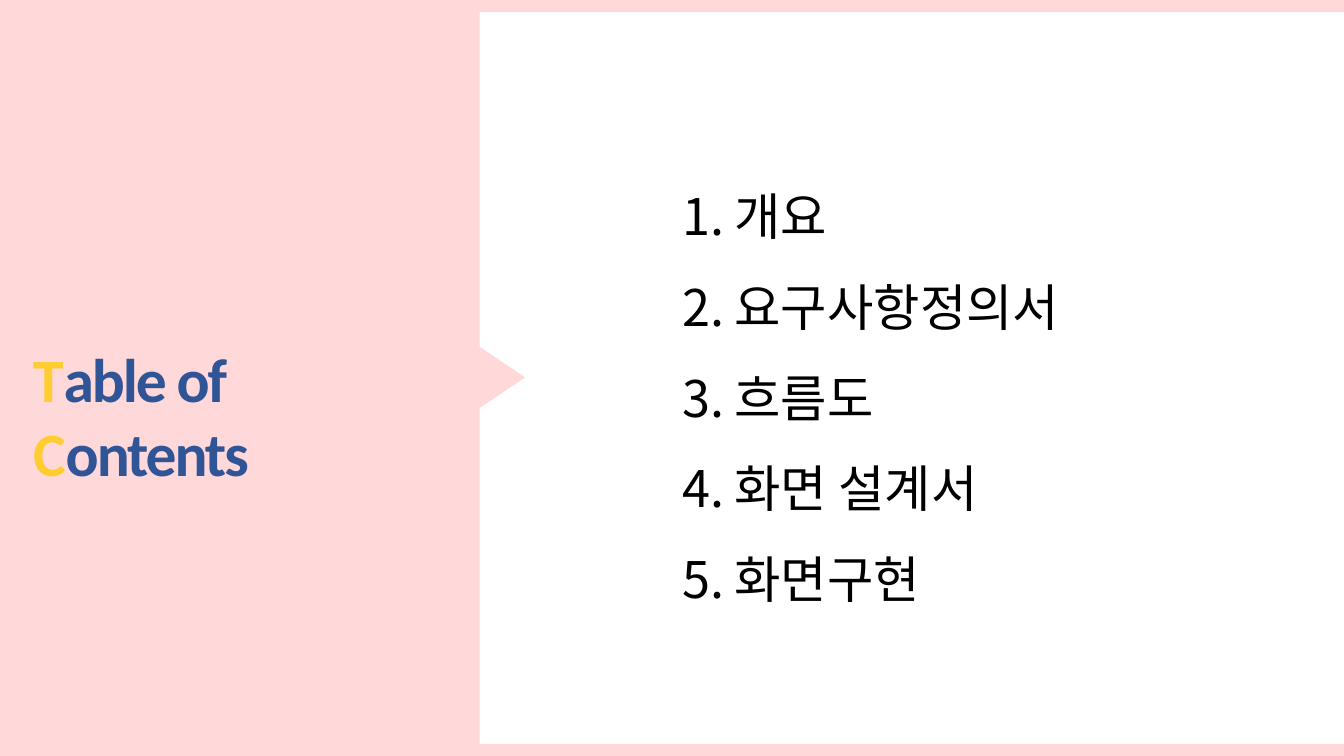
from lxml.etree import SubElement
from pptx import Presentation
from pptx.dml.color import RGBColor
from pptx.enum.shapes import MSO_SHAPE
from pptx.oxml.ns import qn
from pptx.util import Pt

HUES = {"pink": "FFD8D9", "gold": "FFCD2F", "navy": "2F5597", "ink": "000000"}
WIDE, HIGH = 960, 540
BAR = 8.64


class Deck:
    """Holds the style and the current slide."""

    def __init__(self):
        self.show = Presentation()
        self.show.slide_width, self.show.slide_height = Pt(WIDE), Pt(HIGH)
        self.slide = self.show.slides.add_slide(self.show.slide_layouts[6])
        self.head = {"name": "Calibri", "size": Pt(44), "bold": True}
        self.body = {"name": "Arial", "size": Pt(36)}

    def paint(self, font, style, hue):
        for key, val in style.items():
            setattr(font, key, val)
        font.color.rgb = RGBColor.from_string(HUES[hue])

    def block(self, kind, x, y, w, h, turn=0):
        shape = self.slide.shapes.add_shape(kind, Pt(x), Pt(y), Pt(w), Pt(h))
        shape.shadow.inherit = False
        shape.rotation = turn
        shape.fill.solid()
        shape.fill.fore_color.rgb = RGBColor.from_string(HUES["pink"])
        shape.line.fill.background()

    def frame(self, x, y, w, h):
        frame = self.slide.shapes.add_textbox(Pt(x), Pt(y), Pt(w), Pt(h)).text_frame
        frame.word_wrap = True
        return frame

    def title(self, parts, x, y, w, h):
        frame = self.frame(x, y, w, h)
        frame.margin_right = Pt(72)
        for text, hue in parts:
            run = frame.paragraphs[0].add_run()
            run.text = text
            self.paint(run.font, self.head, hue)
            run.font._element.set("spc", "-150")

    def list(self, items, x, y, w, h, gap):
        frame = self.frame(x, y, w, h)
        for i, text in enumerate(items):
            para = frame.add_paragraph() if i else frame.paragraphs[0]
            para.line_spacing = 1.5
            props = para._p.get_or_add_pPr()
            props.set("marL", str(Pt(gap)))
            props.set("indent", str(-Pt(gap)))
            SubElement(props, qn("a:buFont"), typeface="+mj-lt")
            SubElement(props, qn("a:buAutoNum"), type="arabicPeriod")
            run = para.add_run()
            run.text = text
            self.paint(run.font, self.body, "ink")


def main():
    deck = Deck()
    deck.block(MSO_SHAPE.RECTANGLE, 0, 0, 342.72, HIGH)
    deck.block(MSO_SHAPE.ISOSCELES_TRIANGLE, 335.5, 252.7, 45.4, 33.8, 90)
    for y in (0, HIGH - BAR):
        deck.block(MSO_SHAPE.RECTANGLE, 0, y, WIDE, BAR)
    deck.title([("T", "gold"), ("able of ", "navy"), ("C", "gold"), ("ontents", "navy")],
               16.56, 239.76, 308.88, 60.5)
    deck.list(["개요", "요구사항정의서", "흐름도", "화면 설계서", "화면구현"],
              480.24, 107.28, 309.6, 326.2, 37.4)
    deck.show.save("out.pptx")


if __name__ == "__main__":
    main()
